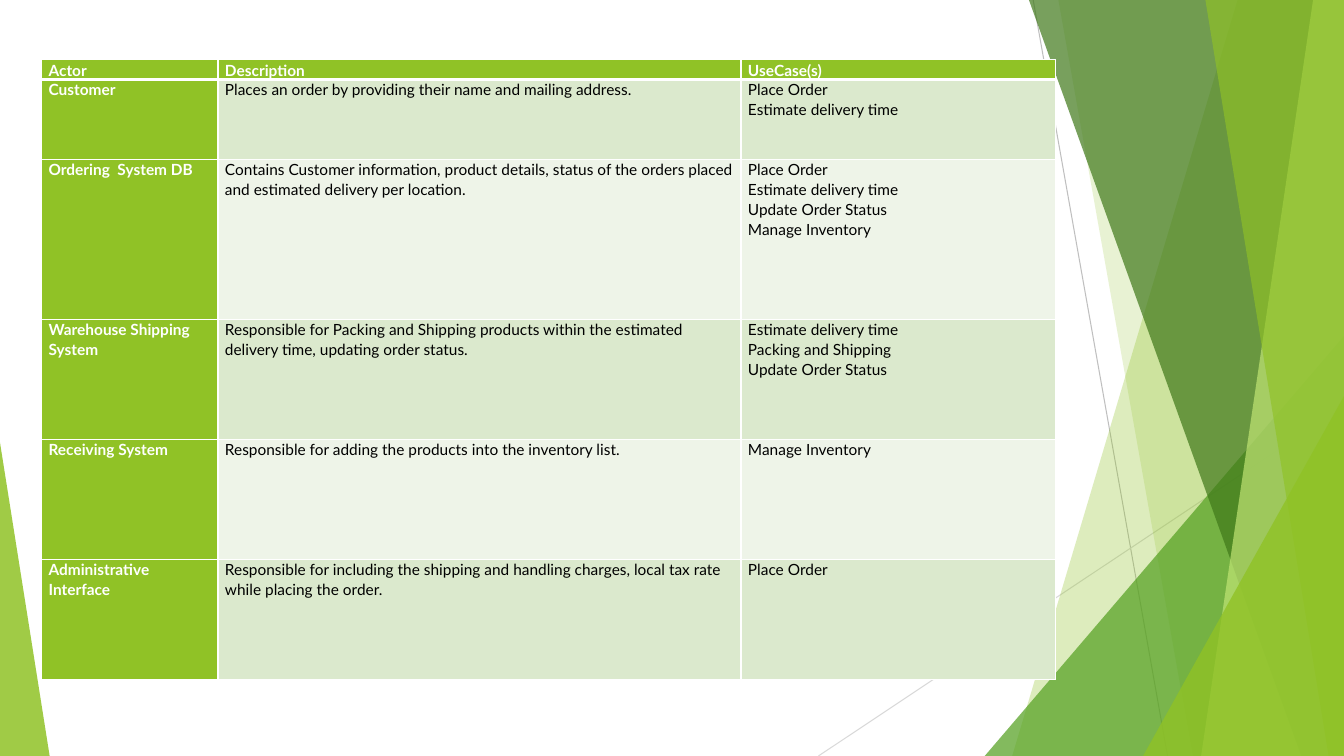
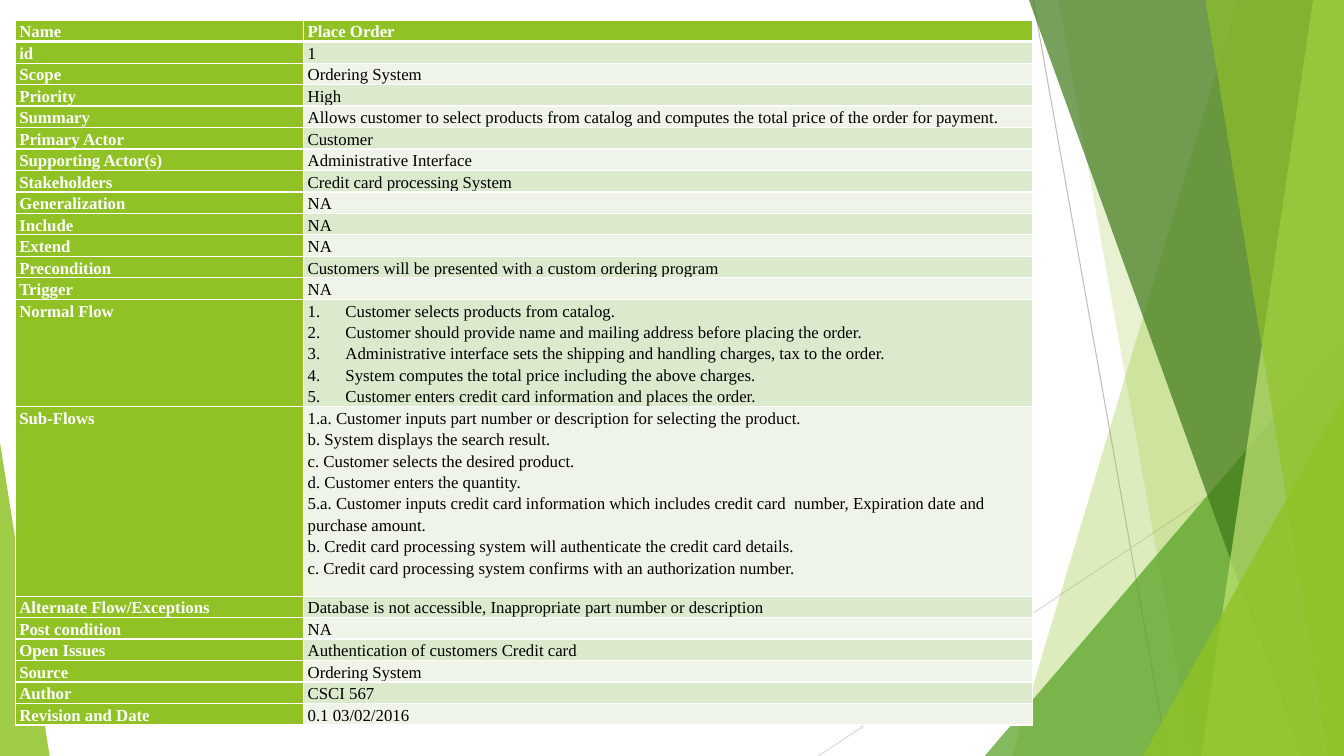
from dataclasses import dataclass

from lxml.etree import SubElement
from pptx import Presentation
from pptx.dml.color import RGBColor
from pptx.enum.shapes import MSO_CONNECTOR as Connector, MSO_SHAPE as Preset
from pptx.oxml.ns import qn
from pptx.util import Pt

WIDTH, HEIGHT = 960, 540
GREEN, LEAF, FOREST, LIME = "90C226", "54A021", "3F7819", "C0E474"
BAND_DARK, BAND_LIGHT = "DBE9CD", "EEF4E8"
WHITE, BLACK = "FFFFFF", "000000"


@dataclass(frozen=True)
class Ray:
    """A thin line crossing the right side."""
    start: tuple[float, float]
    end: tuple[float, float]
    colour: str


@dataclass(frozen=True)
class Band:
    """A translucent area from a slanted edge to the right side of the slide."""
    top_x: float
    bottom_x: float
    colour: str
    opacity: int


@dataclass(frozen=True)
class Corner:
    """A translucent triangle standing on the bottom of the slide."""
    left: float
    top: float
    width: float
    apex: float
    colour: str
    opacity: int


@dataclass(frozen=True)
class Row:
    """One table row; line breaks in a cell part its paragraphs."""
    cells: tuple[str, ...]
    height: float
    numbered: bool = False


@dataclass(frozen=True)
class Sheet:
    """A table with its place and text style."""
    left: float
    top: float
    columns: tuple[float, ...]
    rows: tuple[Row, ...]
    font: str
    size: float
    spacing: float
    inset: float


BACKDROP = (
    Ray((738, 0), (834, HEIGHT), "BFBFBF"),
    Ray((WIDTH, 290), (584.6, HEIGHT), "D9D9D9"),
    Band(884, 723, GREEN, 30),
    Band(756, 852, GREEN, 20),
    Corner(703.4, 240, 256.6, 1, LEAF, 72),
    Band(735, 929.5, FOREST, 70),
    Band(938, 858, LIME, 70),
    Band(861, 949, GREEN, 65),
    Corner(816.5, 283, 143.5, 1, GREEN, 80),
    Corner(0, 316, 35.5, 0, GREEN, 85),
)

ACTORS = Sheet(
    29.7, 42.5, (126, 373.6, 224.8),
    (
        Row(("Actor", "Description", "UseCase(s)"), 14.2),
        Row(("Customer",
             "Places an order by providing their name and mailing address.",
             "Place Order\nEstimate delivery time"), 57),
        Row(("Ordering  System DB",
             "Contains Customer information, product details, status of the orders "
             "placed and estimated delivery per location.",
             "Place Order\nEstimate delivery time\nUpdate Order Status\nManage Inventory"), 114.4),
        Row(("Warehouse Shipping System",
             "Responsible for Packing and Shipping products within the estimated "
             "delivery time, updating order status.",
             "Estimate delivery time\nPacking and Shipping\nUpdate Order Status"), 85.7),
        Row(("Receiving System",
             "Responsible for adding the products into the inventory list.",
             "Manage Inventory"), 85.7),
        Row(("Administrative Interface",
             "Responsible for including the shipping and handling charges, local tax "
             "rate while placing the order.",
             "Place Order"), 85.7),
    ),
    "Lato", 11, 1.07, 5,
)

NORMAL_FLOW = """Customer selects products from catalog.
Customer should provide name and mailing address before placing the order.
Administrative interface sets the shipping and handling charges, tax to the order.
System computes the total price including the above charges.
Customer enters credit card information and places the order."""

SUB_FLOWS = """1.a. Customer inputs part number or description for selecting the product.
b. System displays the search result.
c. Customer selects the desired product.
d. Customer enters the quantity.
5.a. Customer inputs credit card information which includes credit card  number, Expiration date and purchase amount.
b. Credit card processing system will authenticate the credit card details.
c. Credit card processing system confirms with an authorization number."""


def brief_rows(*entries: tuple[str, str]) -> tuple[Row, ...]:
    """Make rows that are one line high."""
    return tuple(Row(entry, 15.3) for entry in entries)


PLACE_ORDER = Sheet(
    10.8, 14.4, (206, 520.5),
    brief_rows(
        ("Name", "Place Order"),
        ("id", "1"),
        ("Scope", "Ordering System"),
        ("Priority", "High"),
        ("Summary", "Allows customer to select products from catalog and computes "
                    "the total price of the order for payment."),
        ("Primary Actor", "Customer"),
        ("Supporting Actor(s)", "Administrative Interface"),
        ("Stakeholders", "Credit card processing System"),
        ("Generalization", "NA"),
        ("Include", "NA"),
        ("Extend", "NA"),
        ("Precondition", "Customers will be presented with a custom ordering program"),
        ("Trigger", "NA"),
    ) + (
        Row(("Normal Flow", NORMAL_FLOW), 76.5, numbered=True),
        Row(("Sub-Flows", SUB_FLOWS), 135.5),
    ) + brief_rows(
        ("Alternate Flow/Exceptions",
         "Database is not accessible, Inappropriate part number or description"),
        ("Post condition", "NA"),
        ("Open Issues", "Authentication of customers Credit card"),
        ("Source", "Ordering System"),
        ("Author", "CSCI 567"),
        ("Revision and Date", "0.1 03/02/2016"),
    ),
    "Times New Roman", 12, 1.15, 3,
)


def paint(fill, colour: str) -> None:
    """Give a fill one solid colour."""
    fill.solid()
    fill.fore_color.rgb = RGBColor.from_string(colour)


def draw_ray(shapes, ray: Ray) -> None:
    """Draw a thin line without a shadow."""
    line = shapes.add_connector(Connector.STRAIGHT, *map(Pt, ray.start + ray.end))
    paint(line.line.fill, ray.colour)
    line.line.width = Pt(0.75)
    SubElement(line.element.spPr, qn("a:effectLst"))


def draw_facet(shapes, facet: Band | Corner) -> None:
    """Draw a translucent band or corner."""
    if isinstance(facet, Band):
        outline = shapes.build_freeform(Pt(facet.top_x), 0)
        outline.add_line_segments([
            (Pt(WIDTH), 0), (Pt(WIDTH), Pt(HEIGHT)), (Pt(facet.bottom_x), Pt(HEIGHT))])
        area = outline.convert_to_shape()
    else:
        area = shapes.add_shape(Preset.ISOSCELES_TRIANGLE, Pt(facet.left), Pt(facet.top),
                                Pt(facet.width), Pt(HEIGHT - facet.top))
        area.adjustments[0] = facet.apex
    area.shadow.inherit = False
    area.line.fill.background()
    paint(area.fill, facet.colour)
    tint = area.element.spPr.find(qn("a:solidFill"))[0]
    SubElement(tint, qn("a:alpha"), val=str(facet.opacity * 1000))


def set_backdrop(slide) -> None:
    """Draw the backdrop and move it to the layout, where all slides share it."""
    layout = slide.slide_layout
    for placeholder in list(layout.placeholders):
        placeholder.element.getparent().remove(placeholder.element)
    for piece in BACKDROP:
        if isinstance(piece, Ray):
            draw_ray(slide.shapes, piece)
        else:
            draw_facet(slide.shapes, piece)
    for piece in list(slide.shapes):
        layout.shapes.element.append(piece.element)


def add_borders(cell, row_index: int) -> None:
    """Add white cell borders, thick between the header and the body."""
    properties = cell._tc.get_or_add_tcPr()
    top, bottom = (3 if row_index == 1 else 1), (3 if row_index == 0 else 1)
    for side, width in (("L", 1), ("R", 1), ("T", top), ("B", bottom)):
        border = SubElement(properties, qn(f"a:ln{side}"), w=str(Pt(width)))
        SubElement(SubElement(border, qn("a:solidFill")), qn("a:srgbClr"), val=WHITE)


def write_cell(cell, text: str, sheet: Sheet, is_label: bool, numbered: bool) -> None:
    """Fill a cell with its paragraphs."""
    cell.margin_left = cell.margin_right = Pt(sheet.inset)
    cell.margin_top = cell.margin_bottom = 0
    frame = cell.text_frame
    for index, wording in enumerate(text.split("\n")):
        paragraph = frame.add_paragraph() if index else frame.paragraphs[0]
        paragraph.line_spacing = sheet.spacing
        if numbered:
            properties = paragraph._p.get_or_add_pPr()
            properties.set("marL", str(Pt(27)))
            properties.set("indent", str(Pt(-27)))
            SubElement(properties, qn("a:buAutoNum"), type="arabicPeriod")
        run = paragraph.add_run()
        run.text = wording
        run.font.name = sheet.font
        run.font.size = Pt(sheet.size)
        run.font.bold = is_label
        paint(run.font.fill, WHITE if is_label else BLACK)


def draw_sheet(slide, sheet: Sheet) -> None:
    """Draw a table with a green header row and label column."""
    table = slide.shapes.add_table(
        len(sheet.rows), len(sheet.columns), Pt(sheet.left), Pt(sheet.top),
        Pt(sum(sheet.columns)), Pt(sum(row.height for row in sheet.rows))).table
    table.first_row = table.horz_banding = False
    for column, width in zip(table.columns, sheet.columns):
        column.width = Pt(width)
    for row_index, row in enumerate(sheet.rows):
        table.rows[row_index].height = Pt(row.height)
        band = BAND_DARK if row_index % 2 else BAND_LIGHT
        for column_index, text in enumerate(row.cells):
            cell = table.cell(row_index, column_index)
            is_label = row_index == 0 or column_index == 0
            add_borders(cell, row_index)
            paint(cell.fill, GREEN if is_label else band)
            write_cell(cell, text, sheet, is_label, row.numbered and not is_label)


def main() -> None:
    """Build the two slides."""
    deck = Presentation()
    deck.slide_width, deck.slide_height = Pt(WIDTH), Pt(HEIGHT)
    blank = deck.slide_layouts[6]
    actors_slide, order_slide = (deck.slides.add_slide(blank) for _ in range(2))
    set_backdrop(actors_slide)
    draw_sheet(actors_slide, ACTORS)
    draw_sheet(order_slide, PLACE_ORDER)
    deck.save("out.pptx")


if __name__ == "__main__":
    main()
